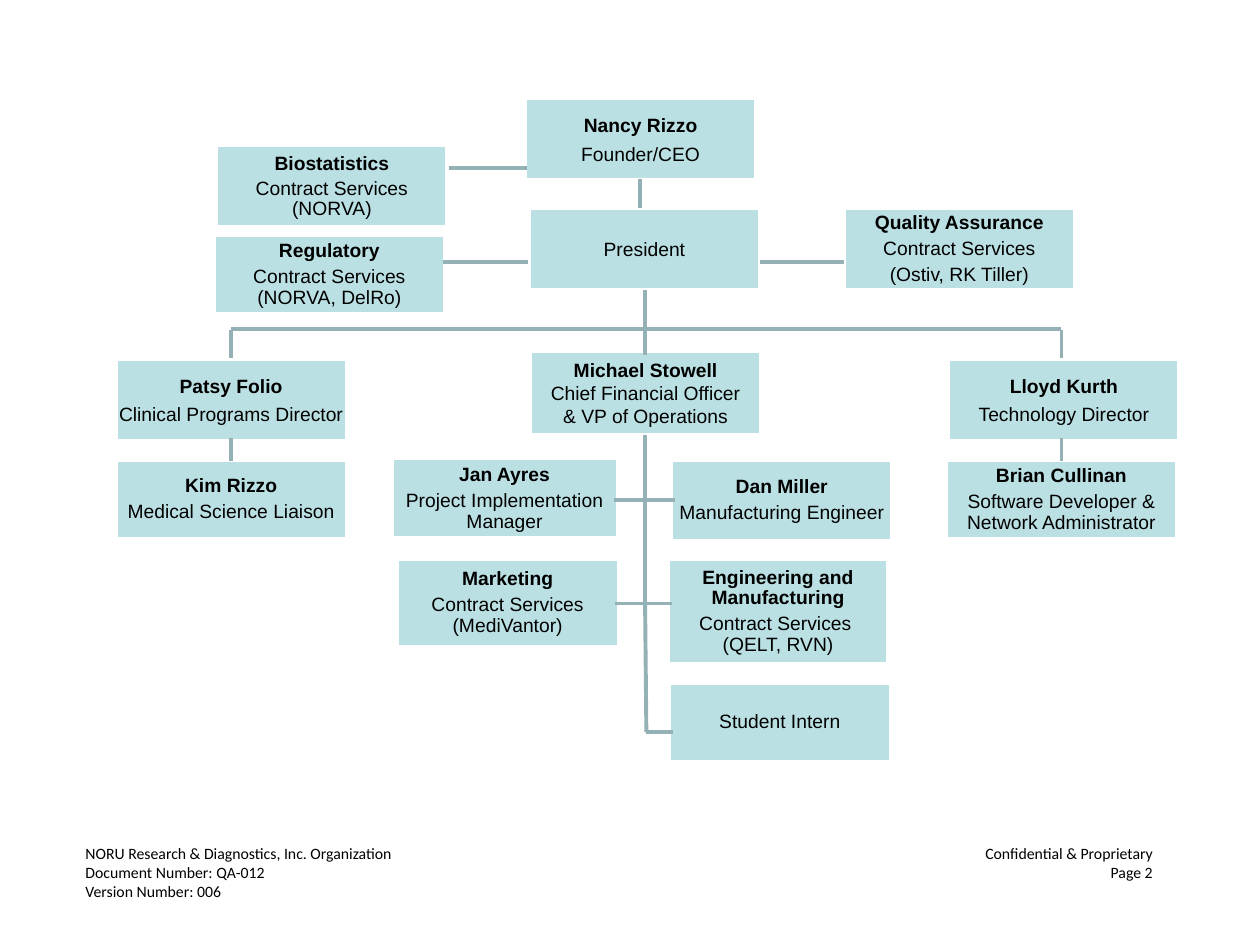
from lxml import etree
from pptx import Presentation
from pptx.dml.color import RGBColor
from pptx.enum.shapes import MSO_CONNECTOR as CONN, MSO_SHAPE as SHAPE
from pptx.enum.text import MSO_ANCHOR as ANCHOR, PP_ALIGN as ALIGN
from pptx.oxml.ns import qn
from pptx.util import Inches, Pt

BOX_FILL = RGBColor(0xBB, 0xE0, 0xE3)
WHITE = RGBColor(0xFF, 0xFF, 0xFF)
LINK = RGBColor(0x94, 0xB2, 0xB5)
BLACK = RGBColor(0, 0, 0)
BOX_W = 1.83
BOX_H = 0.65


def add_run(p, text, size, font, bold=False):
    """Add one formatted run to a paragraph."""
    r = p.add_run()
    r.text = text
    r.font.size = Pt(size)
    r.font.name = font
    r.font.bold = bold
    r.font.color.rgb = BLACK


def add_box(s, x, y, w, h, lines, titled=True):
    """Draw a box from (text, line spacing, space after) lines, the first as title."""
    sp = s.shapes.add_shape(SHAPE.RECTANGLE, Inches(x), Inches(y), Inches(w), Inches(h))
    sp.shadow.inherit = False
    sp.fill.solid()
    sp.fill.fore_color.rgb = BOX_FILL
    sp.line.color.rgb = WHITE
    sp.line.width = Pt(2)
    tf = sp.text_frame
    tf.word_wrap = True
    tf.vertical_anchor = ANCHOR.MIDDLE
    tf.margin_left = tf.margin_right = tf.margin_top = tf.margin_bottom = Inches(0.01)
    for i, (text, spacing, after) in enumerate(lines):
        p = tf.add_paragraph() if i else tf.paragraphs[0]
        p.alignment = ALIGN.CENTER
        p.line_spacing = spacing
        p.space_after = Pt(after)
        add_run(p, text, 11, "Arial", titled and i == 0)


def add_link(s, x1, y1, x2, y2):
    """Draw a straight link between two points."""
    c = s.shapes.add_connector(CONN.STRAIGHT, Inches(x1), Inches(y1), Inches(x2), Inches(y2))
    c.line.color.rgb = LINK
    c.line.width = Pt(2.25)
    etree.SubElement(c._element.spPr, qn("a:effectLst"))


def leadership(s, x, y):
    """Place the founder, the president and the contract services beside them."""
    add_box(s, x + 2.47, y, BOX_W, BOX_H, [("Nancy Rizzo", 1.0, 3), ("Founder/CEO", 1.0, 0)])
    add_box(s, x + 2.5, y + 0.87, BOX_W, BOX_H, [("President", 1.0, 0)], titled=False)
    add_box(s, x + 0.02, y + 0.37, BOX_W, BOX_H,
            [("Biostatistics", 1.0, 2), ("Contract Services", 0.9, 0), ("(NORVA)", 0.9, 0)])
    add_box(s, x, y + 1.09, BOX_W, 0.62,
            [("Regulatory", 0.9, 3), ("Contract Services (NORVA, DelRo)", 0.9, 4.8)])
    add_box(s, x + 5, y + 0.87, BOX_W, BOX_H,
            [("Quality Assurance", 0.9, 3), ("Contract Services", 0.9, 3), ("(Ostiv, RK Tiller)", 0.9, 0)])
    add_link(s, x + 3.38, y + 0.64, x + 3.38, y + 0.87)
    add_link(s, x + 1.86, y + 0.55, x + 2.48, y + 0.55)
    for start in (1.82, 4.33):
        add_link(s, x + start, y + 1.3, x + start + 0.67, y + 1.3)


def branch(s, x, y, director, report, shift=0):
    """Place a director box over a report box, with the links above each."""
    add_box(s, x, y, BOX_W, BOX_H, director)
    add_box(s, x + shift, y + 0.8, BOX_W, 0.63, report)
    stem = x + shift + BOX_W / 2
    add_link(s, stem, y - 0.23, stem, y - 0.01)
    add_link(s, stem, y + 0.63, stem, y + 0.81)


def operations(s, x, y):
    """Place the operations head over two columns of staff along a spine."""
    add_box(s, x + 1.1, y, BOX_W, 0.66,
            [("Michael Stowell", 1.0, 0), ("Chief Financial Officer", 1.0, 0), ("& VP of Operations", 1.0, 0)])
    add_box(s, x, y + 0.85, 1.79, 0.63,
            [("Jan Ayres", 0.9, 3), ("Project Implementation Manager", 0.9, 4.8)])
    add_box(s, x + 2.22, y + 0.86, 1.75, 0.64, [("Dan Miller", 0.9, 3), ("Manufacturing Engineer", 0.9, 0)])
    add_box(s, x + 0.04, y + 1.65, 1.76, 0.69,
            [("Marketing", 0.9, 3), ("Contract Services", 0.9, 0), ("(MediVantor)", 0.9, 4.8)])
    add_box(s, x + 2.19, y + 1.65, 1.75, 0.83,
            [("Engineering and Manufacturing", 0.9, 3), ("Contract Services ", 0.9, 0), ("(QELT, RVN)", 0.9, 4.8)])
    add_box(s, x + 2.2, y + 2.63, 1.76, 0.63, [("Student Intern", 0.9, 3)], titled=False)
    spine = x + 2.01
    add_link(s, spine, y - 0.49, spine, y + 0.03)
    add_link(s, spine, y + 0.66, spine, y + 2)
    add_link(s, spine, y + 2, spine + 0.01, y + 3.02)
    add_link(s, x + 1.76, y + 1.18, x + 2.25, y + 1.18)
    add_link(s, x + 1.77, y + 2, x + 2.22, y + 2)
    add_link(s, spine + 0.01, y + 3.02, x + 2.23, y + 3.02)


def footer(s, x, y, w, h):
    """Place the document details, with the right column on a right tab."""
    tf = s.shapes.add_textbox(Inches(x), Inches(y), Inches(w), Inches(h)).text_frame
    tf.word_wrap = True
    rows = ("NORU Research & Diagnostics, Inc. Organization\tConfidential & Proprietary",
            "Document Number: QA-012\tPage 2", "Version Number: 006")
    for i, text in enumerate(rows):
        p = tf.add_paragraph() if i else tf.paragraphs[0]
        tabs = etree.SubElement(p._p.get_or_add_pPr(), qn("a:tabLst"))
        etree.SubElement(tabs, qn("a:tab"), pos=str(Inches(w - 0.45)), algn="r")
        add_run(p, text, 9, "Calibri")


def main():
    """Build the organization chart slide."""
    prs = Presentation()
    prs.slide_width, prs.slide_height = Inches(10), Inches(7.5)
    s = prs.slides.add_slide(prs.slide_layouts[6])
    leadership(s, 1.7, 0.78)
    operations(s, 3.11, 2.79)
    branch(s, 0.92, 2.85,
           [("Patsy Folio", 1.0, 3), ("Clinical Programs Director", 1.0, 0)],
           [("Kim Rizzo", 0.9, 3), ("Medical Science Liaison", 0.9, 4.8)])
    branch(s, 7.53, 2.85,
           [("Lloyd Kurth", 1.0, 3), ("Technology Director", 1.0, 3)],
           [("Brian Cullinan", 0.9, 3), ("Software Developer & Network Administrator", 0.9, 3)], -0.02)
    add_link(s, 1.83, 2.61, 8.42, 2.61)
    footer(s, 0.58, 6.65, 8.92, 0.83)
    prs.save("out.pptx")


if __name__ == "__main__":
    main()
